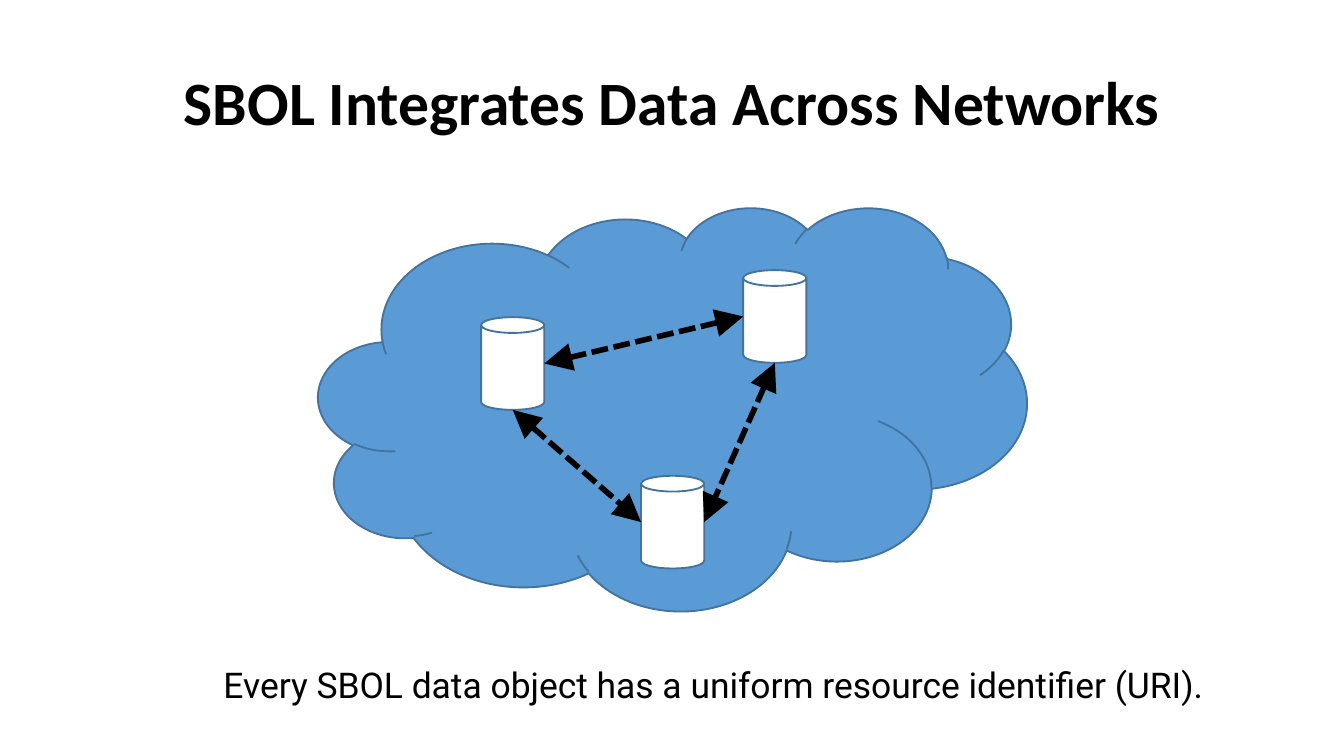
from lxml import etree
from pptx import Presentation
from pptx import util as u
from pptx.dml.color import RGBColor
from pptx.enum import dml, shapes, text
from pptx.oxml.ns import qn

BLACK = RGBColor(0x00, 0x00, 0x00)
WHITE = RGBColor(0xFF, 0xFF, 0xFF)
CLOUD_BLUE = RGBColor(0x5B, 0x9B, 0xD5)
OUTLINE = RGBColor(0x43, 0x73, 0x9E)
CAN_WIDTH, CAN_HEIGHT = 0.47, 0.69

# Widescreen page, 16:9
deck = Presentation()
deck.slide_width, deck.slide_height = u.Inches(10), u.Inches(10 * 9 / 16)
page = deck.slides.add_slide(deck.slide_layouts[5])


def add_outlined(kind, left, top, width, height, fill):
    shape = page.shapes.add_shape(
        kind, u.Inches(left), u.Inches(top), u.Inches(width), u.Inches(height))
    shape.shadow.inherit = False
    shape.fill.solid()
    shape.fill.fore_color.rgb = fill
    shape.line.color.rgb = OUTLINE
    shape.line.width = u.Pt(1)


def fill_text(box, left, top, wording, font, size, bold):
    box.left, box.top = u.Inches(left), u.Inches(top)
    box.width, box.height = u.Inches(9.32), u.Inches(0.63)
    frame = box.text_frame
    frame.text = wording
    frame.word_wrap = True
    frame.auto_size = text.MSO_AUTO_SIZE.NONE
    frame.vertical_anchor = text.MSO_ANCHOR.TOP
    para = frame.paragraphs[0]
    para.alignment = text.PP_ALIGN.CENTER
    para.line_spacing = 0.9
    para.space_before = u.Pt(0)
    span = para.runs[0]
    span.font.name, span.font.size = font, u.Pt(size)
    span.font.bold = bold
    span.font.color.rgb = BLACK


# Network cloud
add_outlined(shapes.MSO_SHAPE.CLOUD, 2.37, 1.54, 5.27, 3, CLOUD_BLUE)

# Databases, with the points on each where arrows meet
databases = {"left": (3.58, 2.36), "bottom": (4.77, 3.54), "right": (5.53, 2.01)}
sites = {}
for name, (left, top) in databases.items():
    add_outlined(shapes.MSO_SHAPE.CAN, left, top, CAN_WIDTH, CAN_HEIGHT, WHITE)
    sites[name] = {
        "west": (left, top + CAN_HEIGHT / 2),
        "east": (left + CAN_WIDTH, top + CAN_HEIGHT / 2),
        "south": (left + CAN_WIDTH / 2, top + CAN_HEIGHT),
    }

# Dashed two-way links
links = [
    (sites["left"]["south"], sites["bottom"]["west"]),
    (sites["left"]["east"], sites["right"]["west"]),
    (sites["right"]["south"], sites["bottom"]["east"]),
]
for start, end in links:
    link = page.shapes.add_connector(
        shapes.MSO_CONNECTOR.STRAIGHT, *(u.Inches(n) for n in start + end))
    link.line.color.rgb = BLACK
    link.line.width = u.Pt(3)
    link.line.dash_style = dml.MSO_LINE.SQUARE_DOT
    outline = link.line._get_or_add_ln()
    for tag in ("a:headEnd", "a:tailEnd"):
        etree.SubElement(outline, qn(tag), type="triangle", w="lg", len="lg")
    etree.SubElement(link._element.spPr, qn("a:effectLst"))

# Title and caption
fill_text(page.shapes.title, 0.34, 0.49,
          "SBOL Integrates Data Across Networks", "Calibri", 33, True)
caption = page.shapes.add_textbox(0, 0, 0, 0)
fill_text(caption, 0.68, 4.92,
          "Every SBOL data object has a uniform resource identifier (URI). ",
          "Roboto", 19, False)

deck.save("out.pptx")
